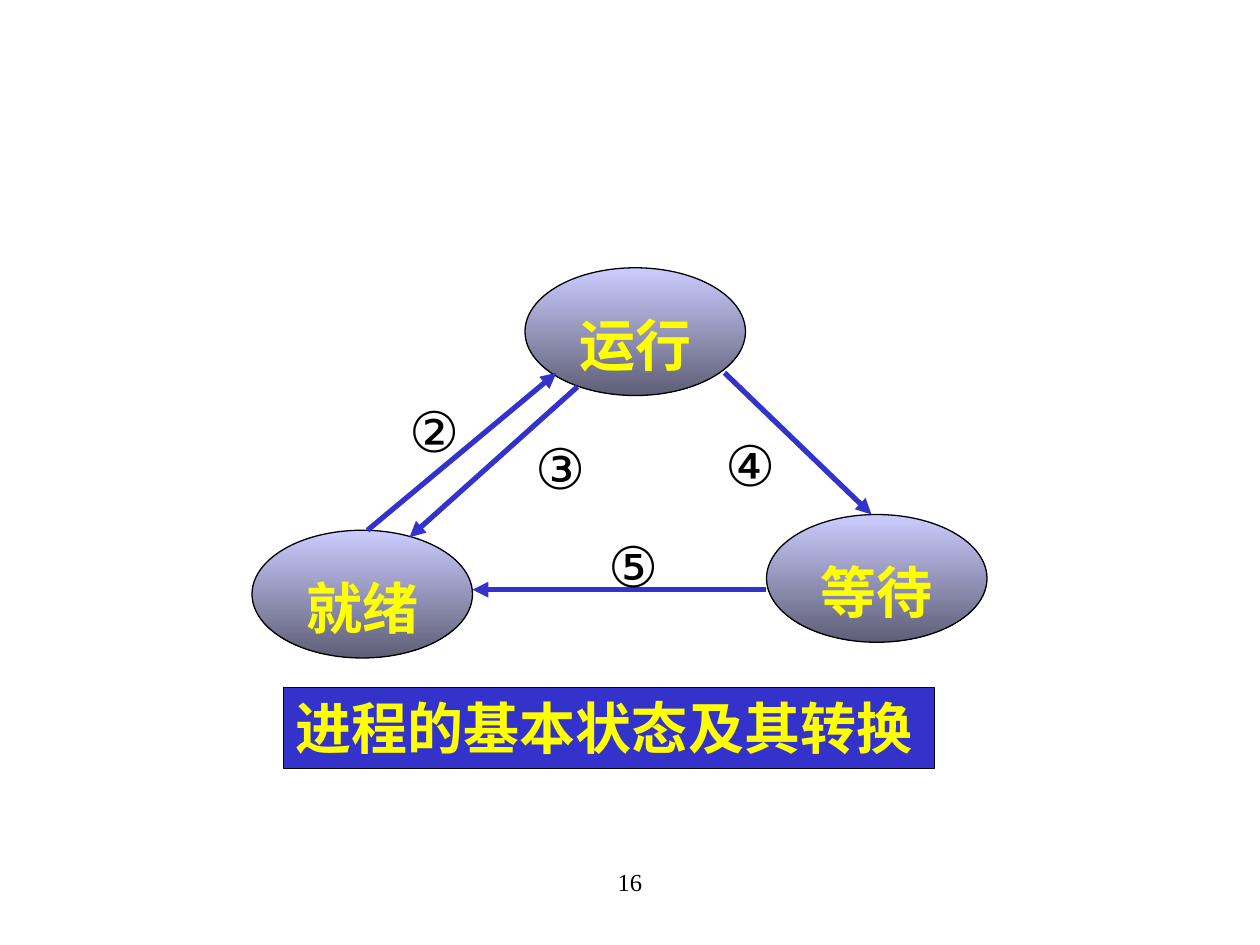
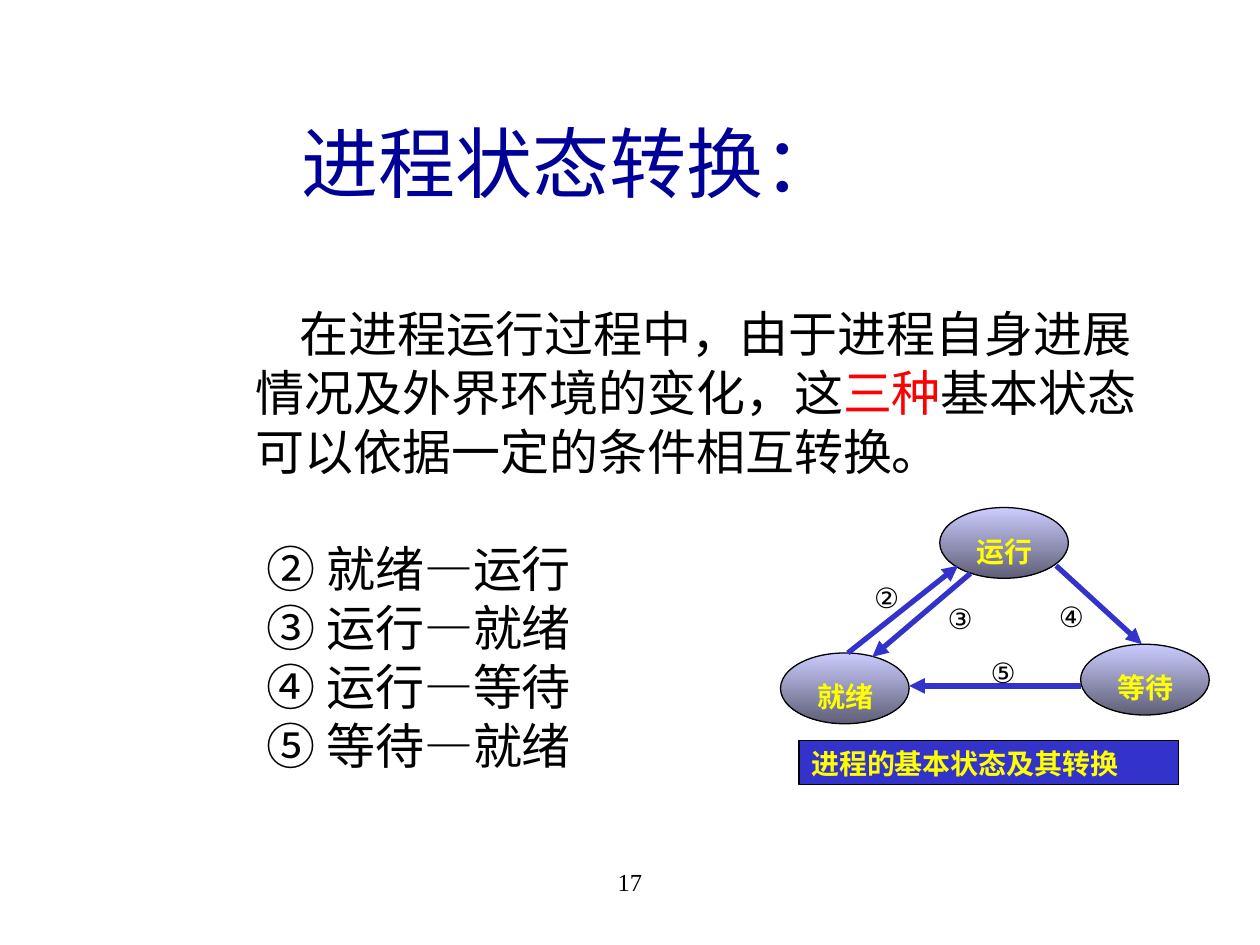
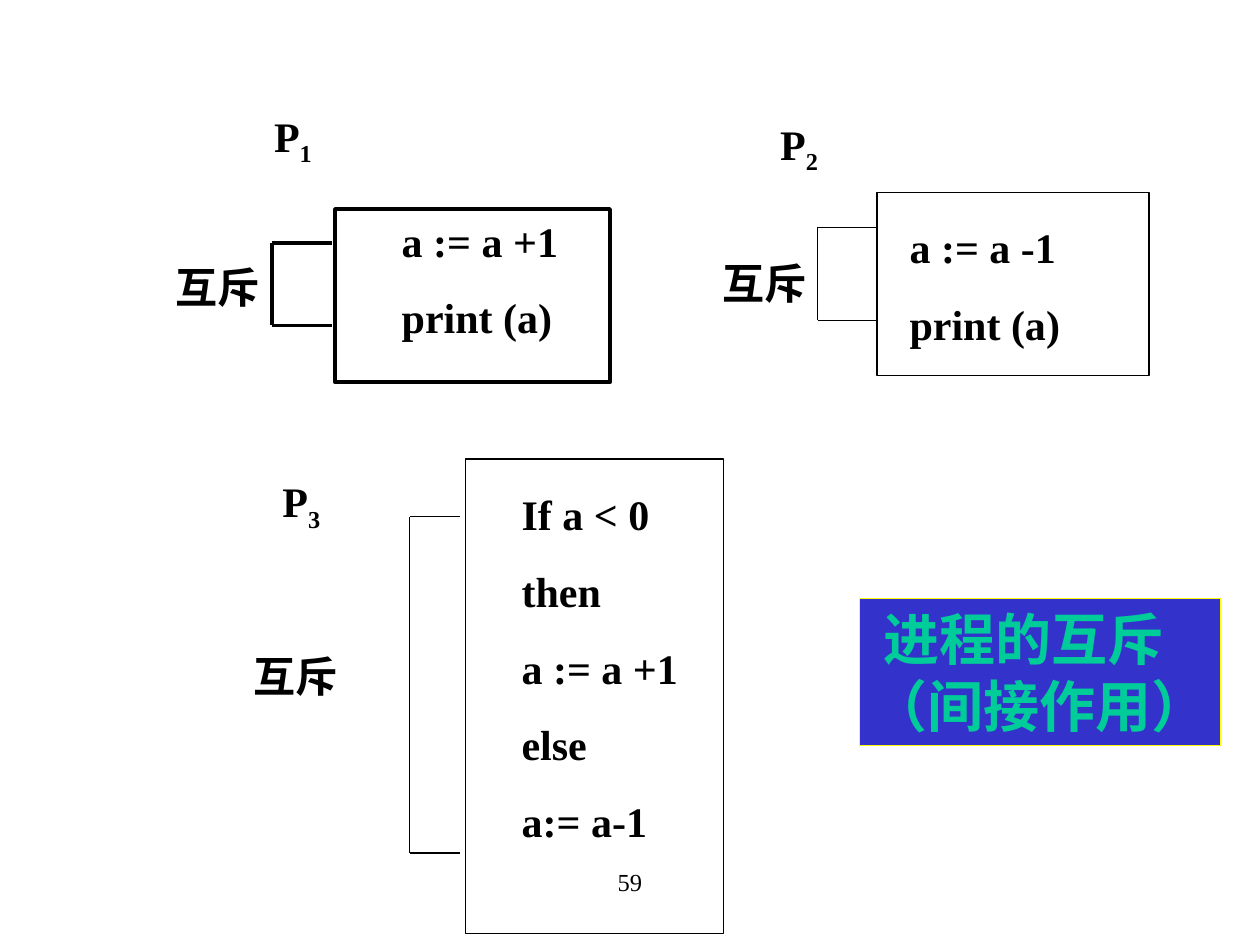
from collections import namedtuple

from lxml import etree
from pptx import Presentation
from pptx.dml.color import RGBColor
from pptx.enum.shapes import MSO_CONNECTOR, MSO_SHAPE
from pptx.enum.text import MSO_ANCHOR, MSO_AUTO_SIZE, PP_ALIGN
from pptx.oxml.ns import qn
from pptx.util import Pt

BLACK = RGBColor(0x00, 0x00, 0x00)
RED = RGBColor(0xFF, 0x00, 0x00)
YELLOW = RGBColor(0xFF, 0xFF, 0x00)
GREEN = RGBColor(0x00, 0xCC, 0x99)
BLUE = RGBColor(0x33, 0x33, 0xCC)
NAVY = RGBColor(0x00, 0x00, 0x99)
LILAC = RGBColor(0xCC, 0xCC, 0xFF)
SLATE = RGBColor(0x5E, 0x5E, 0x76)

SANS, SERIF, LATIN_SANS = "Noto Sans CJK SC", "Times New Roman", "Arial"
EAST_ASIAN = {SANS: SANS, SERIF: SANS, LATIN_SANS: LATIN_SANS}
LINE_PITCH = 1.2  # line height as a multiple of the type size

Box = namedtuple("Box", "x y w h")
Style = namedtuple("Style", "size font color bold", defaults=(BLACK, False))
CODE = Style(24, SERIF, BLACK, True)

# State diagram, laid out on a 420 x 286 grid
GRID_W, GRID_H = 420, 286
STATES = {"就绪": (0, 150), "运行": (156, 0), "等待": (294, 141)}
ARROWS = [((66, 150), (174, 60)), ((186, 68), (90, 154)),
          ((294, 184), (126, 184)), ((270, 60), (354, 141))]
ARROW_MARKS = {"②": (104, 93), "③": (176, 114), "④": (285, 112), "⑤": (218, 170)}

# Offsets of the parts are measured from the top left corner of the code frame
Process = namedtuple("Process", "number frame name code_at mutex bracket weight code")
PROCESSES = [
    Process("1", Box(191.5, 119.5, 157, 99), (-42, -56), (31, 0), (-98.5, 26.5),
            Box(-36, 19.5, 34, 47), 2.25, ["a := a +1", "print (a)"]),
    Process("2", Box(501.2, 110, 155.5, 104.5), (-62.5, -42), (11.5, 13.3), (-95.5, 33.5),
            Box(-34, 20, 34, 53), 0.75, ["a := a -1", "print (a)"]),
    Process("3", Box(265.8, 262.3, 147.5, 271.3), (-111.5, 10), (25.2, 13.5), (-128, 106),
            Box(-31.8, 33, 29, 192.2), 0.75,
            ["If a < 0", "then", "a := a +1", "else", "a:= a-1"]),
]


def place(shape, box):
    shape.left, shape.top, shape.width, shape.height = map(Pt, box)


def format_run(r, style):
    r.font.size = Pt(style.size)
    r.font.bold = style.bold
    r.font.color.rgb = style.color
    r.font.name = style.font
    ea = etree.SubElement(r._r.get_or_add_rPr(), qn("a:ea"))
    ea.set("typeface", EAST_ASIAN[style.font])


def format_frame(tf, style, align=PP_ALIGN.LEFT, wrap=True, gap=0):
    tf.auto_size = MSO_AUTO_SIZE.NONE
    tf.word_wrap = wrap
    tf.vertical_anchor = MSO_ANCHOR.TOP
    for i, p in enumerate(tf.paragraphs):
        p.alignment = align
        p.line_spacing = Pt(LINE_PITCH * style.size)
        p.space_before = Pt(gap if i else 0)
        for r in p.runs:
            format_run(r, style)


def add_text(s, box, text, style, **options):
    tf = s.shapes.add_textbox(*map(Pt, box)).text_frame
    tf.text = text
    format_frame(tf, style, **options)
    return tf


def add_shape(s, kind, box, line_color=BLACK, weight=0.75):
    sp = s.shapes.add_shape(kind, *map(Pt, box))
    sp.shadow.inherit = False
    sp.line.color.rgb = line_color
    sp.line.width = Pt(weight)
    return sp


def add_line(s, start, end, color, weight, arrow=False):
    line = s.shapes.add_connector(MSO_CONNECTOR.STRAIGHT, *map(Pt, (*start, *end)))
    line.line.color.rgb = color
    line.line.width = Pt(weight)
    if arrow:
        etree.SubElement(line.line._get_or_add_ln(), qn("a:tailEnd")).set("type", "triangle")
    etree.SubElement(line._element.spPr, qn("a:effectLst"))


def add_caption(s, box, text, style, line_color=BLACK, wrap=True):
    sp = add_shape(s, MSO_SHAPE.RECTANGLE, box, line_color)
    sp.fill.solid()
    sp.fill.fore_color.rgb = BLUE
    sp.text_frame.text = text
    format_frame(sp.text_frame, style, wrap=wrap)
    return sp.text_frame


def set_indent(p, margin=0, first=0):
    pPr = p._p.get_or_add_pPr()
    pPr.set("marL", str(Pt(margin)))
    pPr.set("indent", str(Pt(first)))
    return pPr


def add_slide(prs, layout, number):
    s = prs.slides.add_slide(prs.slide_layouts[layout])
    add_text(s, Box(246, 492, 228, 36), number, Style(14, SERIF), align=PP_ALIGN.CENTER)
    return s


def state_diagram(s, box, size):
    """Draw the three process states, scaled to fill the box."""
    kx, ky = box.w / GRID_W, box.h / GRID_H

    def at(x, y):
        return box.x + x * kx, box.y + y * ky

    def scaled(x, y, w, h):
        return Box(*at(x, y), w * kx, h * ky)

    for name, (x, y) in STATES.items():
        sp = add_shape(s, MSO_SHAPE.OVAL, scaled(x, y, 126, 73))
        sp.fill.gradient()
        sp.fill.gradient_angle = 270
        for stop, color in zip(sp.fill.gradient_stops, (LILAC, SLATE)):
            stop.color.rgb = color
        add_text(s, scaled(x + 24, y + 21, 84, 46), name, Style(size, SERIF, YELLOW, True))
    for start, end in ARROWS:
        add_line(s, at(*start), at(*end), BLUE, 3, arrow=True)
    add_caption(s, scaled(18, 240, 372, 46), "进程的基本状态及其转换",
                Style(size, SANS, YELLOW, True))
    w, h = 0.88 * size + 14.4, LINE_PITCH * size + 7.2
    for mark, center in ARROW_MARKS.items():
        x, y = at(*center)
        add_text(s, Box(x - w / 2, y - h / 2, w, h), mark, Style(size, LATIN_SANS),
                 wrap=False)


def transition_text(s):
    title, body = s.shapes.title, s.placeholders[1]
    place(title, Box(91, 62.5, 471, 60.5))
    title.text_frame.text = "进程状态转换："
    format_frame(title.text_frame, Style(44, SANS, NAVY), PP_ALIGN.CENTER)

    place(body, Box(139, 170, 541, 276.5))
    tf = body.text_frame
    tf.text = "\n".join(["", "② 就绪—运行", "③ 运行—就绪", "④ 运行—等待", "⑤ 等待—就绪"])
    intro, *rows = tf.paragraphs
    for text in ("在进程运行过程中，由于进程自身进展情况及外界环境的变化，这", "三种",
                 "基本状态可以依据一定的条件相互转换。"):
        intro.add_run().text = text
    etree.SubElement(set_indent(intro, first=25), qn("a:buNone"))
    for p in rows:
        etree.SubElement(set_indent(p, margin=6), qn("a:buNone"))
    format_frame(tf, Style(28, SANS))
    intro.runs[1].font.color.rgb = RED
    rows[0].space_before = Pt(LINE_PITCH * 28)


def process_block(s, process):
    frame = process.frame

    def at(x, y):
        return frame.x + x, frame.y + y

    lines = len(process.code)
    add_text(s, Box(*at(*process.code_at), 114, 43.8 * lines - 8), "\n".join(process.code),
             CODE, gap=15)
    name = add_text(s, Box(*at(*process.name), 57, 40), "P", CODE)
    r = name.paragraphs[0].add_run()
    r.text = process.number
    format_run(r, CODE)
    r._r.get_or_add_rPr().set("baseline", "-25000")
    sp = add_shape(s, MSO_SHAPE.RECTANGLE, frame, weight=process.weight)
    sp.fill.background()
    add_text(s, Box(*at(*process.mutex), 65, 36), "互斥", CODE)

    x, y, w, h = process.bracket
    corners = [at(x + w, y), at(x, y), at(x, y + h), at(x + w, y + h)]
    for start, end in zip(corners, corners[1:]):
        add_line(s, start, end, BLACK, process.weight)


def states_slide(prs):
    s = add_slide(prs, 6, "16")
    state_diagram(s, Box(144, 153, 420, 286), 32)


def transitions_slide(prs):
    s = add_slide(prs, 1, "17")
    transition_text(s)
    state_diagram(s, Box(446, 290, 245, 158.5), 16)


def mutex_slide(prs):
    s = add_slide(prs, 6, "59")
    for process in PROCESSES:
        process_block(s, process)
    tf = add_caption(s, Box(491, 342, 206.5, 84), "进程的互斥\n（间接作用）",
                     Style(32, SANS, GREEN, True), YELLOW, wrap=False)
    set_indent(tf.paragraphs[0], first=7)


def main():
    prs = Presentation()
    prs.slide_width, prs.slide_height = Pt(720), Pt(540)
    states_slide(prs)
    transitions_slide(prs)
    mutex_slide(prs)
    prs.save("out.pptx")


if __name__ == "__main__":
    main()
